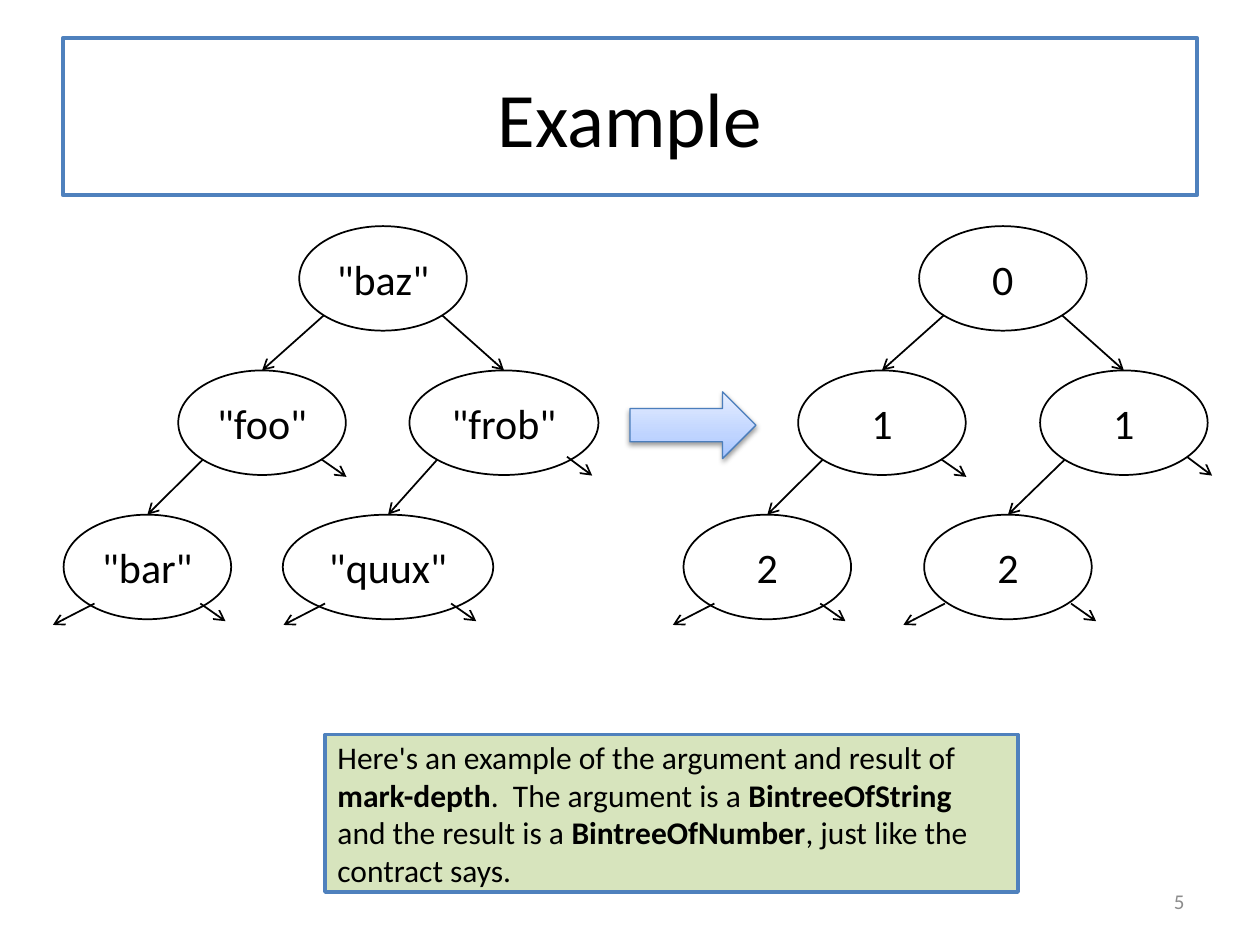
import pptx
import pptx.util
import pptx.dml.color
import pptx.enum.shapes
import pptx.enum.text
import pptx.oxml
import pptx.oxml.ns
import lxml.etree

SHAPE = pptx.enum.shapes.MSO_SHAPE
ALIGN = pptx.enum.text.PP_ALIGN
MIDDLE = pptx.enum.text.MSO_ANCHOR.MIDDLE
Inches, Pt = pptx.util.Inches, pptx.util.Pt

# Content: (argument label, result label, centre x, level, argument width)
NODES = {
    "root": ('"baz"', "0", 3.04, 0, 1.33),
    "left": ('"foo"', "1", 2.08, 1, 1.33),
    "right": ('"frob"', "1", 4.0, 1, 1.5),
    "left leaf": ('"bar"', "2", 1.17, 2, 1.33),
    "right leaf": ('"quux"', "2", 3.08, 2, 1.67),
}
# Parent, child, side of the parent (-1 left, 1 right)
EDGES = [("root", "left", -1), ("root", "right", 1),
         ("left", "left leaf", -1), ("right", "right leaf", -1)]
# Arrows to empty subtrees: node, start offset from its centre, run
EMPTY = [("left", (0.47, 0.29), (0.2, 0.14)),
         ("right", (0.5, 0.27), (0.2, 0.15)),
         ("left leaf", (0.42, 0.29), (0.2, 0.14)),
         ("left leaf", (-0.42, 0.29), (-0.33, 0.17)),
         ("right leaf", (0.5, 0.29), (0.2, 0.14)),
         ("right leaf", (-0.5, 0.29), (-0.33, 0.17))]
NOTE = [("Here's an example of the argument and result of ", False),
        ("mark-depth", True), (".  The argument is a ", False),
        ("BintreeOfString ", True), ("and the result is a ", False),
        ("BintreeOfNumber", True), (", just like the contract says.", False)]

TOP, LEVEL_STEP, NODE_W, NODE_H = 2.21, 1.145, 1.33, 0.83
TREE_SHIFT = 4.92
DIAGONAL = 0.5 ** 0.5 / 2  # 45-degree point of an ellipse, as share of its size


def color(hex_text):
    return pptx.dml.color.RGBColor.from_string(hex_text)


def box(left, top, width, height):
    return [Inches(v) for v in (left, top, width, height)]


def outline(shape, hex_text, points):
    shape.line.color.rgb = color(hex_text)
    shape.line.width = Pt(points)


def style(shape, size, align, hex_text="000000"):
    shape.text_frame.vertical_anchor = MIDDLE
    for paragraph in shape.text_frame.paragraphs:
        paragraph.alignment = align
        for run in paragraph.runs:
            run.font.size, run.font.name = Pt(size), "Calibri"
            run.font.color.rgb = color(hex_text)


def add_arrow(slide, start, end):
    arrow = slide.shapes.add_connector(
        pptx.enum.shapes.MSO_CONNECTOR.STRAIGHT,
        *[Inches(v) for v in (*start, *end)])
    outline(arrow, "000000", 1)
    tail = lxml.etree.SubElement(arrow.line._get_or_add_ln(),
                                 pptx.oxml.ns.qn("a:tailEnd"))
    tail.set("type", "arrow")
    lxml.etree.SubElement(arrow._element.spPr, pptx.oxml.ns.qn("a:effectLst"))


def add_tree(slide, label_index, shift):
    place = {}
    for name, node in NODES.items():
        x, y = node[2] + shift, TOP + node[3] * LEVEL_STEP
        width = node[4] if label_index == 0 else NODE_W
        place[name] = x, y, width
        ellipse = slide.shapes.add_shape(
            SHAPE.OVAL, *box(x - width / 2, y - NODE_H / 2, width, NODE_H))
        ellipse.shadow.inherit = False
        ellipse.fill.background()
        outline(ellipse, "000000", 1)
        ellipse.text_frame.text = node[label_index]
        ellipse.text_frame.word_wrap = False
        style(ellipse, 24, ALIGN.CENTER)
    for parent, child, side in EDGES:
        x, y, width = place[parent]
        child_x, child_y, _ = place[child]
        add_arrow(slide, (x + side * width * DIAGONAL, y + NODE_H * DIAGONAL),
                  (child_x, child_y - NODE_H / 2))
    for name, (dx, dy), (run_x, run_y) in EMPTY:
        x, y, _ = place[name]
        add_arrow(slide, (x + dx, y + dy), (x + dx + run_x, y + dy + run_y))


def add_result_arrow(slide):
    arrow = slide.shapes.add_shape(SHAPE.RIGHT_ARROW, *box(5, 3.11, 1, 0.53))
    outline(arrow, "4B7EBC", 0.75)
    ns = pptx.oxml.ns.nsdecls("a")
    stops = "".join(
        f'<a:gs pos="{share * 1000}"><a:srgbClr val="{tone}"/></a:gs>'
        for share, tone in [(0, "A4C4FF"), (35, "BFD4FF"), (100, "E6EEFF")])
    properties = arrow._element.spPr
    properties.insert(2, pptx.oxml.parse_xml(
        f'<a:gradFill {ns} rotWithShape="1"><a:gsLst>{stops}</a:gsLst>'
        '<a:lin ang="16200000" scaled="0"/></a:gradFill>'))
    properties.append(pptx.oxml.parse_xml(
        f'<a:effectLst {ns}><a:outerShdw blurRad="{Pt(3.1)}" dist="{Pt(1.6)}" '
        'dir="5400000" rotWithShape="0"><a:srgbClr val="000000">'
        '<a:alpha val="38000"/></a:srgbClr></a:outerShdw></a:effectLst>'))


def main():
    deck = pptx.Presentation()
    deck.slide_width, deck.slide_height = Inches(10), Inches(7.5)
    slide = deck.slides.add_slide(deck.slide_layouts[5])

    # Title
    title = slide.shapes.title
    title.left, title.top, title.width, title.height = box(0.5, 0.3, 9, 1.25)
    title.fill.solid()
    title.fill.fore_color.rgb = color("FFFFFF")
    outline(title, "4F81BD", 2.25)
    title.text_frame.text = "Example"
    style(title, 44, ALIGN.CENTER)

    # Slide number
    number = slide.shapes.add_textbox(*box(7.17, 6.95, 2.33, 0.4))
    number.text_frame.word_wrap = True
    number.text_frame.text = "5"
    style(number, 12, ALIGN.RIGHT, "8C8C8C")

    # Result tree, arrow, argument tree
    add_tree(slide, 1, TREE_SHIFT)
    add_result_arrow(slide)
    add_tree(slide, 0, 0)

    # Explanation
    note = slide.shapes.add_shape(SHAPE.RECTANGLE, *box(2.58, 5.83, 5.5, 1.25))
    note.shadow.inherit = False
    note.fill.solid()
    note.fill.fore_color.rgb = color("D7E4BD")
    outline(note, "4F81BD", 2)
    for text, bold in NOTE:
        run = note.text_frame.paragraphs[0].add_run()
        run.text, run.font.bold = text, bold
    style(note, 18, ALIGN.LEFT)

    deck.save("out.pptx")


if __name__ == "__main__":
    main()
